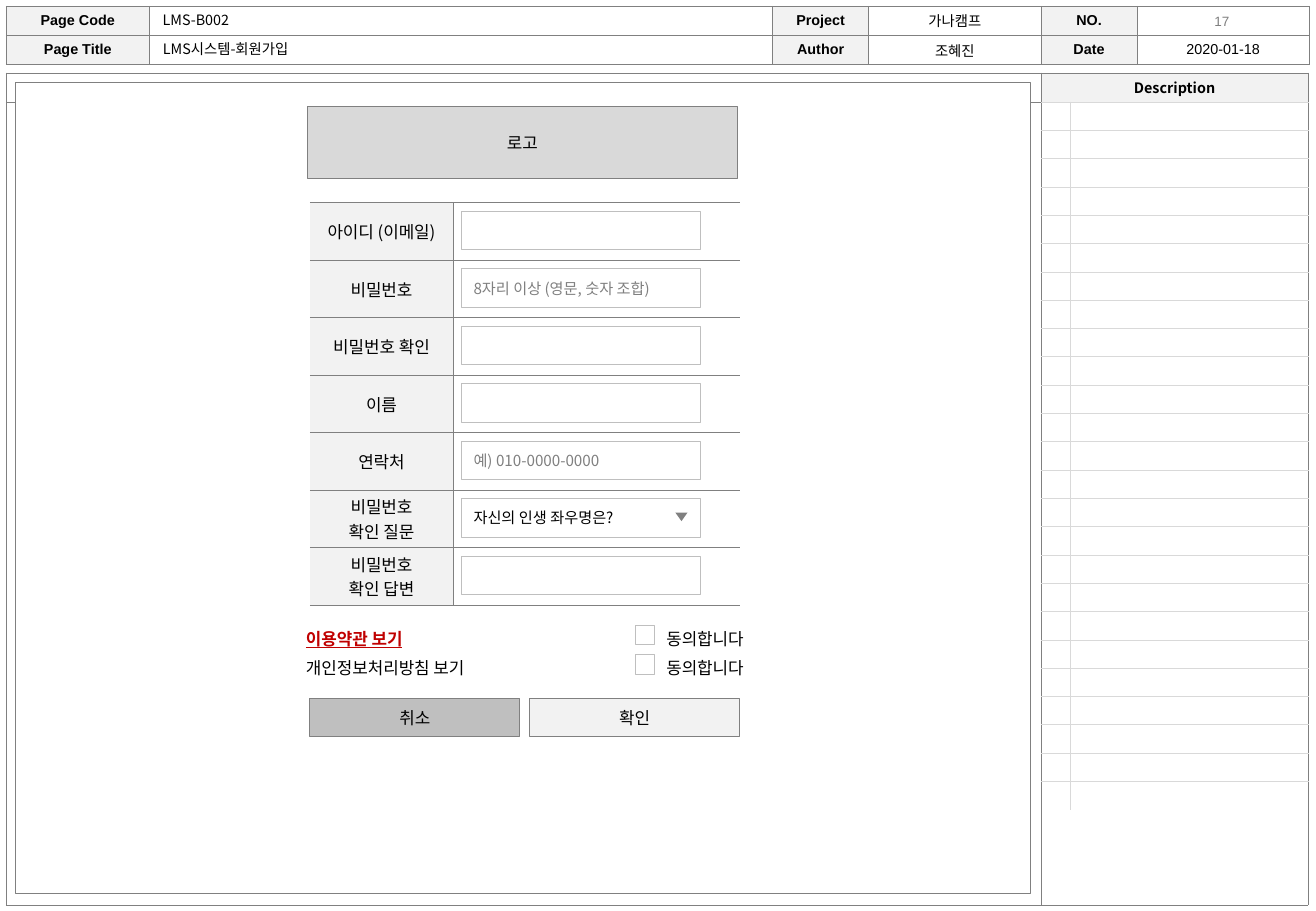
from dataclasses import dataclass, replace
from lxml.etree import SubElement
from pptx import Presentation
from pptx.dml.color import RGBColor
from pptx.enum.shapes import MSO_SHAPE as Preset
from pptx.enum.text import MSO_ANCHOR as Anchor, MSO_AUTO_SIZE as AutoSize, PP_ALIGN as Align
from pptx.oxml.ns import qn
from pptx.util import Pt

KOREAN, LATIN = "Noto Sans CJK KR", "Arial"
BLACK, WHITE, GRAY, SILVER = "000000", "FFFFFF", "808080", "BFBFBF"
PALE, LIGHT, RED = "F2F2F2", "D9D9D9", "C00000"


@dataclass(frozen=True)
class Words:
    text: str = ""
    size: float = 10
    font: str = KOREAN
    color: str = BLACK
    bold: bool = False
    underline: bool = False
    align: Align = Align.CENTER
    spacing: float = 1.0


@dataclass(frozen=True)
class Panel:
    left: float
    top: float
    width: float
    height: float
    fill: str
    line: str = GRAY
    words: Words = Words()
    preset: Preset = Preset.RECTANGLE
    turn: float = 0


@dataclass(frozen=True)
class Grid:
    left: float
    top: float
    columns: list[float]
    rows: list[float]
    cells: dict[tuple[int, int], Words]
    line: str
    weight: float
    outer: str
    shaded: tuple[tuple[int, int], ...] = ()


def paint(fill, code: str) -> None:
    if code:
        fill.solid()
        fill.fore_color.rgb = RGBColor.from_string(code)
    else:
        fill.background()


def write(frame, words: Words) -> None:
    look = {"size": Pt(words.size), "name": words.font,
            "bold": words.bold, "underline": words.underline}
    for index, line in enumerate(words.text.split("\n")):
        para = frame.add_paragraph() if index else frame.paragraphs[0]
        para.alignment = words.align
        para.line_spacing = words.spacing
        if not line:
            SubElement(para._p, qn("a:endParaRPr"), sz="100")
            continue
        span = para.add_run()
        span.text = line
        for name, value in look.items():
            setattr(span.font, name, value)
        paint(span.font.fill, words.color)
        SubElement(span.font._element, qn("a:ea"), typeface=KOREAN)


def place(box, left: float, top: float, width: float, height: float) -> None:
    spots = {"left": left, "top": top, "width": width, "height": height}
    for name, value in spots.items():
        setattr(box, name, Pt(value))


def add_panel(page, panel: Panel) -> None:
    box = page.shapes.add_shape(panel.preset, 0, 0, 0, 0)
    place(box, panel.left, panel.top, panel.width, panel.height)
    box.shadow.inherit = False
    box.rotation = panel.turn
    paint(box.fill, panel.fill)
    paint(box.line.fill, panel.line)
    if panel.line:
        box.line.width = Pt(0.5)
    if panel.words.text:
        box.text_frame.vertical_anchor = Anchor.MIDDLE
        box.text_frame.word_wrap = True
        write(box.text_frame, panel.words)


def fill_line(box, left: float, top: float, width: float, height: float,
              words: Words, wrap: bool = True) -> None:
    place(box, left, top, width, height)
    settings = {"word_wrap": wrap, "auto_size": AutoSize.NONE,
                "vertical_anchor": Anchor.MIDDLE if wrap else Anchor.TOP,
                "margin_left": Pt(7.2), "margin_right": Pt(7.2),
                "margin_top": Pt(0 if wrap else 3.6), "margin_bottom": Pt(0)}
    for name, value in settings.items():
        setattr(box.text_frame, name, value)
    write(box.text_frame, words)


def add_line(page, left: float, top: float, width: float, height: float,
             words: Words, wrap: bool = True) -> None:
    box = page.shapes.add_textbox(0, 0, 0, 0)
    fill_line(box, left, top, width, height, words, wrap)


def draw_borders(cell, grid: Grid, row: int, column: int) -> None:
    at_edge = {"L": column == 0, "R": column == len(grid.columns) - 1,
               "T": row == 0, "B": row == len(grid.rows) - 1}
    for side, edge in at_edge.items():
        border = SubElement(cell._tc.get_or_add_tcPr(), qn(f"a:ln{side}"),
                            w=str(Pt(grid.weight)))
        if edge and side not in grid.outer:
            SubElement(border, qn("a:noFill"))
        else:
            solid = SubElement(border, qn("a:solidFill"))
            SubElement(solid, qn("a:srgbClr"), val=grid.line)


def add_grid(page, grid: Grid) -> None:
    frame = page.shapes.add_table(
        len(grid.rows), len(grid.columns), Pt(grid.left), Pt(grid.top),
        Pt(sum(grid.columns)), Pt(sum(grid.rows)))
    table = frame.table
    table.first_row = table.horz_banding = False
    for column, width in enumerate(grid.columns):
        table.columns[column].width = Pt(width)
    for row, height in enumerate(grid.rows):
        table.rows[row].height = Pt(height)
        for column in range(len(grid.columns)):
            cell = table.cell(row, column)
            cell.margin_top = cell.margin_bottom = Pt(1)
            cell.vertical_anchor = Anchor.MIDDLE
            draw_borders(cell, grid, row, column)
            paint(cell.fill, PALE if (row, column) in grid.shaded else "")
            write(cell.text_frame, grid.cells.get((row, column), Words()))


def main() -> None:
    deck = Presentation()
    deck.slide_width, deck.slide_height = Pt(780), Pt(540)
    page = deck.slides.add_slide(deck.slide_layouts[5])

    heading = Words("Description", 8.5, bold=True)
    add_grid(page, Grid(3.6, 43.2, [613.4, 158.4], [17.28, 475.92],
                        {(0, 1): heading}, GRAY, 0.25, "LRTB", ((0, 1),)))

    label = Words("", 8.5, LATIN, bold=True)
    header = [["Page Code", "", "Project", "가나캠프", "NO.", ""],
              ["Page Title", "", "Author", "조혜진", "Date", "2020-01-18"]]
    cells = {(row, column): replace(label, text=text, bold=column % 2 == 0)
             for row, texts in enumerate(header) for column, text in enumerate(texts)}
    add_grid(page, Grid(3.6, 3.6, [85, 369.4, 56.9, 102.2, 56.9, 102.2], [17.28] * 2,
                        cells, GRAY, 0.25, "LRTB",
                        tuple(spot for spot in cells if spot[1] % 2 == 0)))
    add_line(page, 673.2, 3.6, 102.2, 17.28, Words("17", 8, LATIN, "7F7F7F"))

    add_panel(page, Panel(9.36, 48.96, 601.2, 480.96, WHITE))
    add_grid(page, Grid(617.04, 60.48, [17.2, 141.6], [16.8] * 25, {}, LIGHT, 0.5, "T"))

    entry = Words("", 8.5, align=Align.LEFT)
    fill_line(page.shapes.title, 89.28, 20.16, 368.64, 17.28,
              replace(entry, text="LMS시스템-회원가입"))
    add_line(page, 89.28, 2.88, 368.64, 17.28, replace(entry, text="LMS-B002"))

    hint = Words("", 9, color=GRAY, align=Align.LEFT)
    fields = [("아이디 (이메일)", hint),
              ("비밀번호", replace(hint, text="8자리 이상 (영문, 숫자 조합)")),
              ("비밀번호 확인", hint),
              ("이름", hint),
              ("연락처", replace(hint, text="예) 010-0000-0000")),
              ("비밀번호\n확인 질문", replace(hint, text="자신의 인생 좌우명은?", color=BLACK)),
              ("비밀번호\n확인 답변", hint)]
    pitch = 34.06
    names = {(row, 0): Words(name) for row, (name, _) in enumerate(fields)}
    add_grid(page, Grid(183.6, 120.24, [85, 169.9], [pitch] * len(fields),
                        names, GRAY, 0.5, "TB", tuple(names)))
    for row, (_, words) in enumerate(fields):
        add_panel(page, Panel(273.6, 125.28 + row * pitch, 141.84, 22.9,
                              WHITE, SILVER, words))

    for panel in (
        Panel(400.32, 303.84, 7.2, 5.04, GRAY, "", preset=Preset.ISOSCELES_TRIANGLE, turn=180),
        Panel(182.16, 63.36, 254.88, 42.48, LIGHT, words=Words("로고")),
        Panel(313.92, 414, 124.56, 22.6, PALE, words=Words("확인")),
        Panel(183.6, 414, 124.56, 22.6, SILVER, words=Words("취소")),
    ):
        add_panel(page, panel)

    policy = Words("개인정보처리방침 보기", align=Align.LEFT, spacing=1.5)
    terms = replace(policy, text="이용약관 보기", color=RED, bold=True, underline=True)
    consent = Words("동의합니다", align=Align.RIGHT, spacing=1.5)
    for row, (words, width) in enumerate([(terms, 78.5), (policy, 118.8)]):
        top = 362.88 + row * 17.28
        add_line(page, 174.24, top, width, 23.04, words, wrap=False)
        add_line(page, 383.04, top, 64.8, 23.04, consent, wrap=False)
        add_panel(page, Panel(376.56, top + 7.92, 11.5, 11.5, WHITE, SILVER))

    deck.save("out.pptx")


if __name__ == "__main__":
    main()
